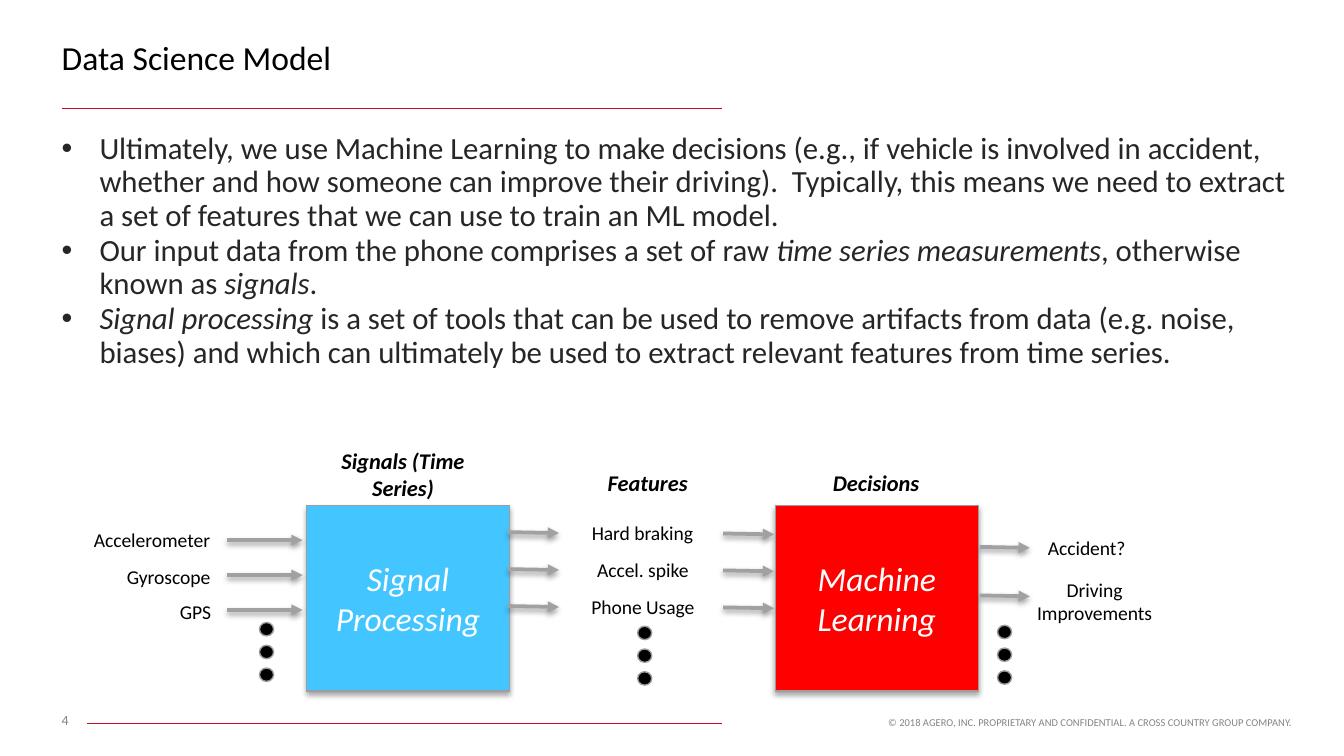
from lxml import etree
from pptx import Presentation
from pptx.dml.color import RGBColor
from pptx.enum.shapes import MSO_CONNECTOR, MSO_SHAPE
from pptx.enum.text import MSO_ANCHOR, PP_ALIGN
from pptx.oxml import parse_xml
from pptx.oxml.ns import nsdecls, qn
from pptx.util import Pt

STRAIGHT = MSO_CONNECTOR.STRAIGHT
RECTANGLE, OVAL = MSO_SHAPE.RECTANGLE, MSO_SHAPE.OVAL
TOP, MIDDLE = MSO_ANCHOR.TOP, MSO_ANCHOR.MIDDLE
LEFT, CENTER, RIGHT = PP_ALIGN.LEFT, PP_ALIGN.CENTER, PP_ALIGN.RIGHT

FONT = "Calibri"
COLORS = {
    "black": "000000",
    "white": "FFFFFF",
    "body": "262626",
    "footer": "848483",
    "rule": "C21123",
    "outline": "9D9DA0",
    "arrow": "A1A1A4",
    "signal": "43C6FF",
    "learning": "FF0000",
}

BULLETS = [
    [("Ultimately, we use Machine Learning to make decisions (e.g., if vehicle is "
      "involved in accident, whether and how someone can improve their driving).  "
      "Typically, this means we need to extract a set of features that we can use "
      "to train an ML model.", False)],
    [("Our input data from the phone comprises a set of raw ", False),
     ("time series measurements", True),
     (", otherwise known as ", False),
     ("signals", True),
     (".", False)],
    [("Signal processing ", True),
     ("is a set of tools that can be used to remove artifacts from data (e.g. noise, "
      "biases) and which can ultimately be used to extract relevant features from "
      "time series.", False)],
]

BLOCKS = [
    ("Signal Processing", 164.2, "signal"),
    ("Machine Learning", 415.4, "learning"),
]
HEADINGS = [
    ("Signals (Time Series)", 159.8, 236.2, 112.3, 36),
    ("Features", 296.6, 247.7, 100.8, 21.6),
    ("Decisions", 419, 247.7, 100.8, 21.6),
]
LABELS = [
    ("Accelerometer", 43.2, 279.4, 82.8, LEFT),
    ("Gyroscope", 53.3, 299.2, 74.2, CENTER),
    ("GPS", 67.7, 317.8, 74.2, CENTER),
    ("Hard braking", 300.6, 275.5, 87.1, CENTER),
    ("Accel. spike", 300.8, 295.2, 87.1, CENTER),
    ("Phone Usage", 300.8, 315, 87.1, CENTER),
    ("Accident?", 538.6, 283.4, 87.1, CENTER),
    ("Driving Improvements", 542.9, 306, 87.1, CENTER),
]
ARROW_GROUPS = [
    (121.8, 40.3, 289.4, 18.7, 3, 0),
    (272.2, 27.3, 285.1, 19.8, 3, 0.5),
    (387.4, 27.3, 285.8, 19.8, 3, 0.5),
    (524.9, 26.8, 293, 26, 2, 0.5),
]
DOT_COLUMNS = [(139, 333.5), (341.6, 335.5), (534.4, 335)]


def color(name):
    return RGBColor.from_string(COLORS[name])


def style_font(paragraph, size, color_name, bold=False, italic=None):
    font = paragraph.font
    font.name = FONT
    font.size = Pt(size)
    font.bold = bold
    font.italic = italic
    font.color.rgb = color(color_name)


def add_shadow(shape, alpha, distance):
    properties = shape._element.spPr
    for effects in properties.findall(qn("a:effectLst")):
        properties.remove(effects)
    properties.append(parse_xml(
        f'<a:effectLst {nsdecls("a")}>'
        f'<a:outerShdw blurRad="{Pt(3.1)}" dist="{Pt(distance)}" dir="5400000" '
        f'rotWithShape="0"><a:srgbClr val="{COLORS["black"]}">'
        f'<a:alpha val="{alpha * 1000}"/></a:srgbClr></a:outerShdw></a:effectLst>'))


def add_text(slide, text, left, top, width, height, size, color_name="black",
             align=LEFT, anchor=TOP, bold=False, italic=False):
    box = slide.shapes.add_textbox(Pt(left), Pt(top), Pt(width), Pt(height))
    frame = box.text_frame
    frame.word_wrap = True
    frame.vertical_anchor = anchor
    paragraph = frame.paragraphs[0]
    paragraph.text = text
    paragraph.alignment = align
    style_font(paragraph, size, color_name, bold, italic)
    return box


def add_line(slide, start, end, color_name, width):
    line = slide.shapes.add_connector(
        STRAIGHT, Pt(start[0]), Pt(start[1]), Pt(end[0]), Pt(end[1]))
    line.line.color.rgb = color(color_name)
    line.line.width = Pt(width)
    etree.SubElement(line._element.spPr, qn("a:effectLst"))
    return line


def add_arrow(slide, start, end):
    arrow = add_line(slide, start, end, "arrow", 2)
    etree.SubElement(arrow.line._get_or_add_ln(), qn("a:tailEnd"), type="triangle")
    add_shadow(arrow, 38, 1.6)


def add_filled_shape(slide, kind, left, top, width, height, fill):
    shape = slide.shapes.add_shape(kind, Pt(left), Pt(top), Pt(width), Pt(height))
    shape.shadow.inherit = False
    shape.fill.solid()
    shape.fill.fore_color.rgb = color(fill)
    shape.line.color.rgb = color("outline")
    shape.line.width = Pt(0.75)
    return shape


def add_block(slide, text, left, fill):
    block = add_filled_shape(slide, RECTANGLE, left, 270.7, 108.7, 99.4, fill)
    add_shadow(block, 35, 1.8)
    frame = block.text_frame
    frame.word_wrap = True
    frame.vertical_anchor = MIDDLE
    paragraph = frame.paragraphs[0]
    paragraph.text = text
    paragraph.alignment = CENTER
    style_font(paragraph, 18, "white", italic=True)


def add_bullets(slide, items):
    box = slide.shapes.add_textbox(Pt(26), Pt(67.7), Pt(672), Pt(309))
    frame = box.text_frame
    frame.word_wrap = True
    for index, runs in enumerate(items):
        paragraph = frame.paragraphs[0] if index == 0 else frame.add_paragraph()
        paragraph.line_spacing = 0.9
        paragraph.space_after = Pt(1.1)
        properties = paragraph._p.get_or_add_pPr()
        properties.set("marL", str(Pt(20.25)))
        properties.set("indent", str(-Pt(20.25)))
        etree.SubElement(properties, qn("a:buFont"), typeface="Arial")
        etree.SubElement(properties, qn("a:buChar"), char="•")
        for text, italic in runs:
            run = paragraph.add_run()
            run.text = text
            run.font.italic = italic
        style_font(paragraph, 16.5, "body")


def add_frame(slide):
    add_text(slide, "© 2018 AGERO, INC. PROPRIETARY AND CONFIDENTIAL. "
             "A CROSS COUNTRY GROUP COMPANY.", 468.7, 380.2, 306.7, 14.4, 5.6, "footer")
    number = add_text(slide, "4", 5.8, 375.1, 36, 21.6, 7.5, "footer", RIGHT, MIDDLE)
    number.text_frame.margin_left = number.text_frame.margin_right = Pt(5)
    number.text_frame.margin_top = number.text_frame.margin_bottom = Pt(2.9)
    add_line(slide, (46.8, 387.4), (386.6, 387.4), "rule", 0.5)
    add_line(slide, (33.1, 58.3), (386.6, 58.3), "rule", 0.5)
    title = add_text(slide, "Data Science Model", 26, 17.3, 635.8, 30.2, 18, anchor=MIDDLE)
    title.text_frame.paragraphs[0].line_spacing = 0.85


def add_diagram(slide):
    for text, left, fill in BLOCKS:
        add_block(slide, text, left, fill)
    for left, length, top, step, count, drop in ARROW_GROUPS:
        for row in range(count):
            y = top + row * step
            add_arrow(slide, (left, y), (left + length, y + drop))
    for left, top in DOT_COLUMNS:
        for row in range(3):
            add_filled_shape(slide, OVAL, left, top + row * 12.2, 7.6, 7.2, "black")
    for text, left, top, width, height in HEADINGS:
        add_text(slide, text, left, top, width, height, 12,
                 align=CENTER, bold=True, italic=True)
    for text, left, top, width, align in LABELS:
        add_text(slide, text, left, top, width, 20.2, 10.5, align=align)


def main():
    presentation = Presentation()
    presentation.slide_width = Pt(720)
    presentation.slide_height = Pt(405)
    slide = presentation.slides.add_slide(presentation.slide_layouts[6])
    add_frame(slide)
    add_bullets(slide, BULLETS)
    add_diagram(slide)
    presentation.save("out.pptx")


if __name__ == "__main__":
    main()
